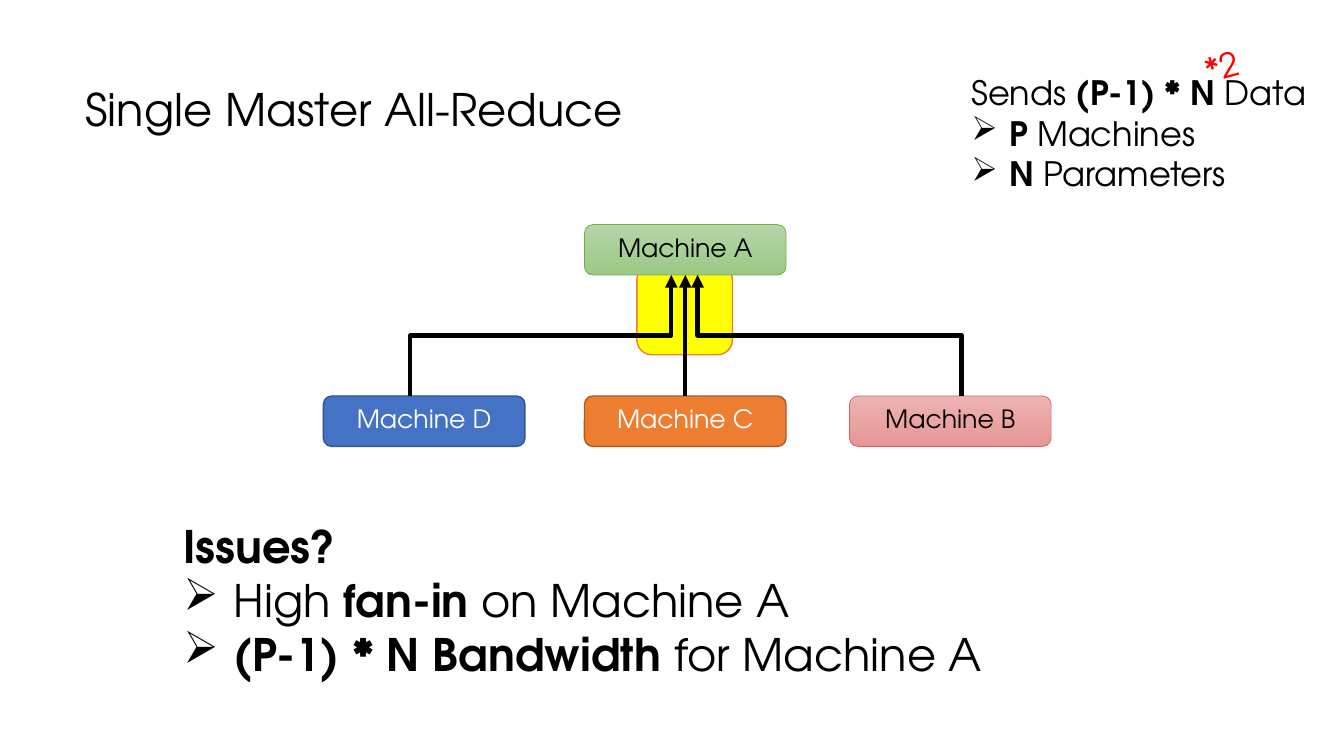
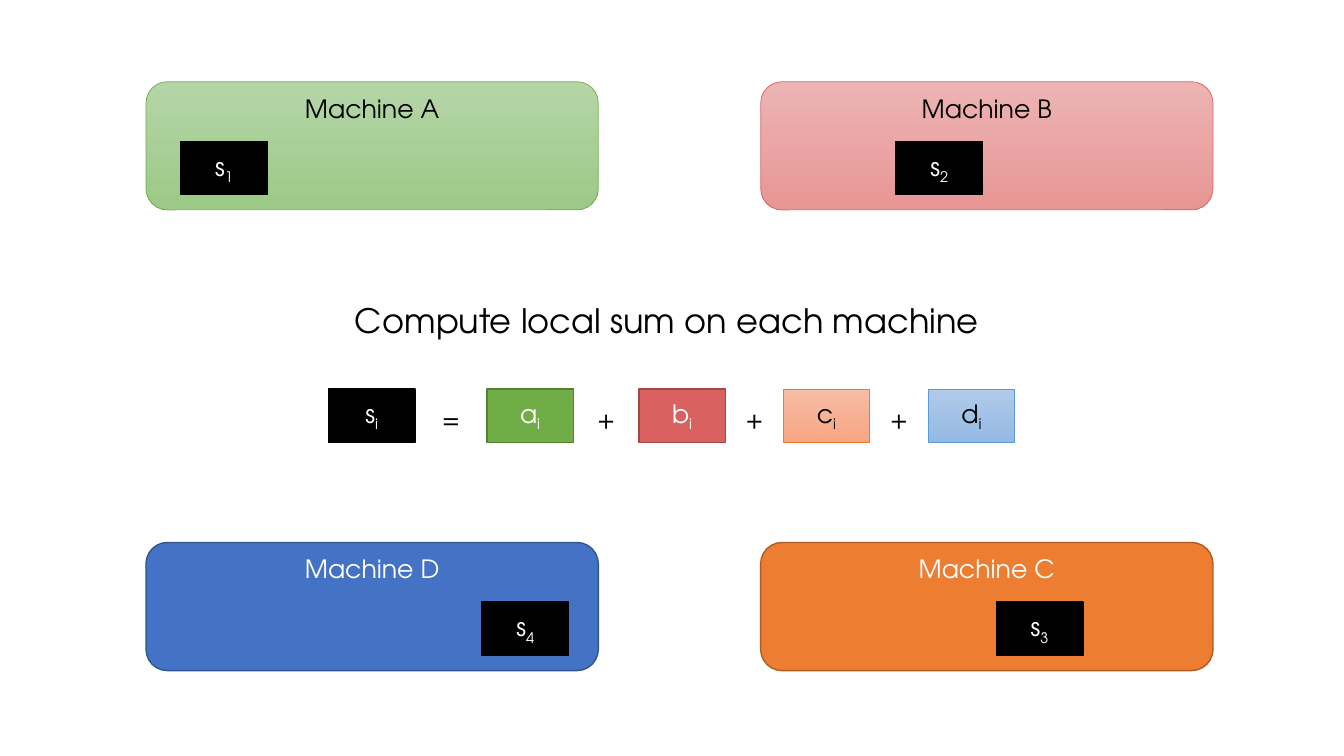
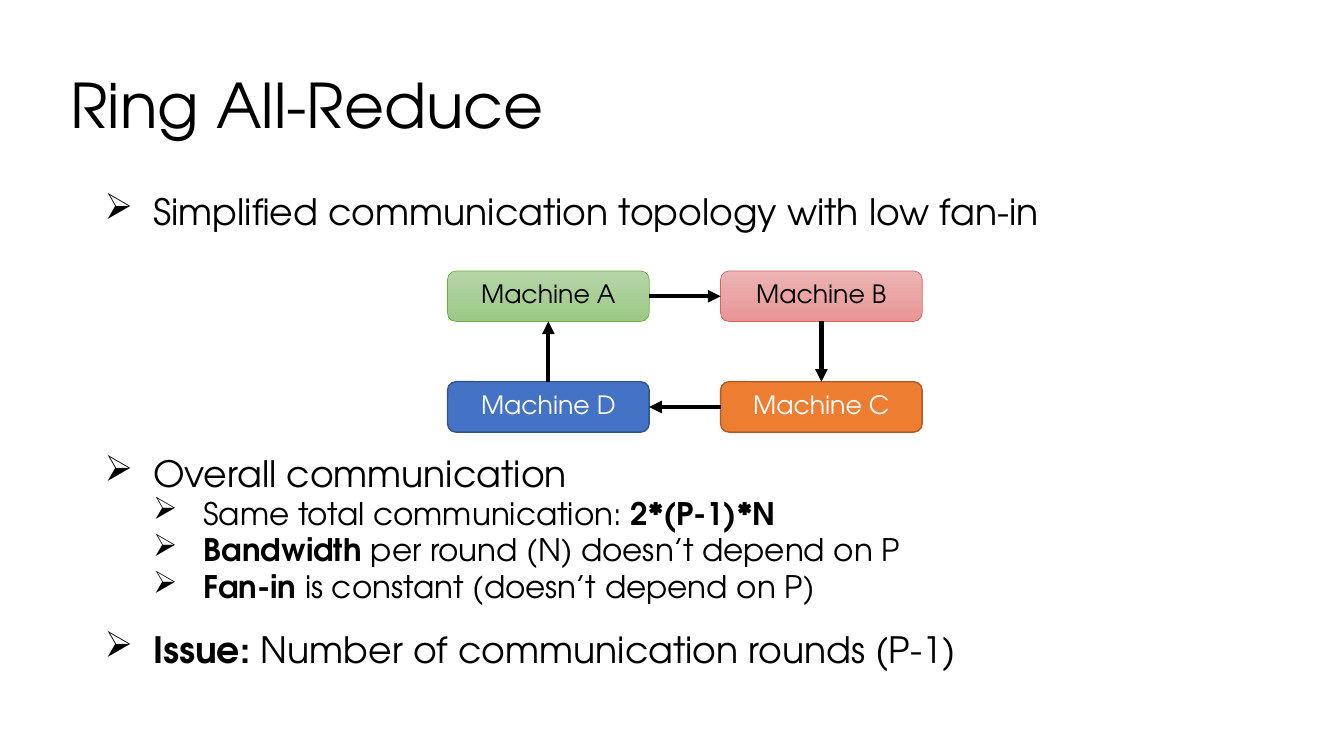
from dataclasses import dataclass

from pptx import Presentation
from pptx.dml.color import RGBColor
from pptx.enum.shapes import MSO_CONNECTOR, MSO_SHAPE
from pptx.enum.text import MSO_ANCHOR, MSO_AUTO_SIZE, PP_ALIGN
from pptx.oxml.ns import qn
from pptx.util import Cm, Pt
from lxml.etree import SubElement

FONT = "TeX Gyre Adventor"
BLACK = RGBColor(0x00, 0x00, 0x00)
WHITE = RGBColor(0xFF, 0xFF, 0xFF)
RED = RGBColor(0xFF, 0x00, 0x00)
YELLOW = RGBColor(0xFF, 0xFF, 0x00)
GREEN = RGBColor(0x70, 0xAD, 0x47)
GREEN_DARK = RGBColor(0x53, 0x80, 0x35)
GREEN_TOP = RGBColor(0xB5, 0xD5, 0xA7)
GREEN_BOTTOM = RGBColor(0x9C, 0xC9, 0x87)
ROSE = RGBColor(0xD9, 0x61, 0x5F)
ROSE_DARK = RGBColor(0xA1, 0x48, 0x46)
ROSE_TOP = RGBColor(0xEC, 0xB4, 0xB3)
ROSE_BOTTOM = RGBColor(0xE7, 0x96, 0x95)
ORANGE = RGBColor(0xED, 0x7D, 0x31)
ORANGE_DARK = RGBColor(0xAF, 0x5C, 0x24)
ORANGE_TOP = RGBColor(0xF7, 0xBD, 0xA5)
ORANGE_BOTTOM = RGBColor(0xF8, 0xA5, 0x82)
BLUE = RGBColor(0x44, 0x72, 0xC4)
BLUE_DARK = RGBColor(0x32, 0x54, 0x91)
SKY = RGBColor(0x5B, 0x9B, 0xD5)
SKY_TOP = RGBColor(0xB1, 0xCB, 0xE9)
SKY_BOTTOM = RGBColor(0x93, 0xB9, 0xE4)


@dataclass
class Style:
    fills: tuple
    line: RGBColor
    text: RGBColor

    @property
    def line_width(self):
        return Pt(1) if len(self.fills) == 1 else Pt(0.5)


MACHINES = {
    "A": Style((GREEN_TOP, GREEN_BOTTOM), GREEN, BLACK),
    "B": Style((ROSE_TOP, ROSE_BOTTOM), ROSE, BLACK),
    "C": Style((ORANGE,), ORANGE_DARK, WHITE),
    "D": Style((BLUE,), BLUE_DARK, WHITE),
}
TERMS = {
    "a": Style((GREEN,), GREEN_DARK, WHITE),
    "b": Style((ROSE,), ROSE_DARK, WHITE),
    "c": Style((ORANGE_TOP, ORANGE_BOTTOM), ORANGE, BLACK),
    "d": Style((SKY_TOP, SKY_BOTTOM), SKY, BLACK),
}
SUM = Style((BLACK,), BLACK, WHITE)
HIGHLIGHT = Style((YELLOW,), ORANGE, BLACK)

CLOCKWISE = {"A": (0, 0), "B": (1, 0), "C": (1, 1), "D": (0, 1)}
MACHINE_WIDTH, MACHINE_HEIGHT = Cm(5.08), Cm(1.27)
TILE_WIDTH, TILE_HEIGHT = Cm(2.18), Cm(1.35)


@dataclass
class Line:
    text: str
    size: float
    margin: float = 0
    hanging: float = 0
    before: float = 0
    spacing: float = 1


def set_font(paragraph, size, color=BLACK):
    paragraph.font.name = FONT
    paragraph.font.size = Pt(size)
    paragraph.font.color.rgb = color


def set_bullet(paragraph, margin, hanging):
    properties = paragraph._p.get_or_add_pPr()
    properties.set("marL", str(Cm(margin)))
    properties.set("indent", str(-Cm(hanging)))
    SubElement(properties, qn("a:buChar")).set("char", "➢")


def add_text(slide, left, top, width, height, lines, color=BLACK, alignment=PP_ALIGN.LEFT):
    box = slide.shapes.add_textbox(left, top, width, height)
    frame = box.text_frame
    frame.word_wrap = True
    for index, line in enumerate(lines):
        paragraph = frame.paragraphs[0] if index == 0 else frame.add_paragraph()
        paragraph.alignment = alignment
        paragraph.line_spacing = line.spacing
        if line.before:
            paragraph.space_before = Pt(line.before)
        if line.hanging:
            set_bullet(paragraph, line.margin, line.hanging)
        set_font(paragraph, line.size, color)
        for position, part in enumerate(line.text.split("|")):
            if part:
                run = paragraph.add_run()
                run.text = part
                run.font.bold = position % 2 == 1
    return box


def set_title(slide, text, size, left, top, width, height):
    title = slide.shapes.title
    title.left, title.top, title.width, title.height = left, top, width, height
    frame = title.text_frame
    frame.text = text
    frame.auto_size = MSO_AUTO_SIZE.NONE
    frame.vertical_anchor = MSO_ANCHOR.MIDDLE
    paragraph = frame.paragraphs[0]
    paragraph.alignment = PP_ALIGN.LEFT
    paragraph.line_spacing = 0.9
    set_font(paragraph, size)


def add_block(slide, preset, style, left, top, width, height):
    shape = slide.shapes.add_shape(preset, left, top, width, height)
    shape.shadow.inherit = False
    if len(style.fills) == 1:
        shape.fill.solid()
        shape.fill.fore_color.rgb = style.fills[0]
    else:
        shape.fill.gradient()
        shape.fill.gradient_angle = 270
        for stop, color in zip(shape.fill.gradient_stops, style.fills):
            stop.color.rgb = color
    shape.line.color.rgb = style.line
    shape.line.width = style.line_width
    return shape


def add_machine(slide, name, left, top, width=MACHINE_WIDTH, height=MACHINE_HEIGHT):
    style = MACHINES[name]
    shape = add_block(slide, MSO_SHAPE.ROUNDED_RECTANGLE, style, left, top, width, height)
    shape.text_frame.vertical_anchor = MSO_ANCHOR.TOP
    paragraph = shape.text_frame.paragraphs[0]
    paragraph.text = f"Machine {name}"
    paragraph.alignment = PP_ALIGN.CENTER
    set_font(paragraph, 18, style.text)


def add_tile(slide, letter, subscript, style, left, top):
    shape = add_block(slide, MSO_SHAPE.RECTANGLE, style, left, top, TILE_WIDTH, TILE_HEIGHT)
    shape.text_frame.vertical_anchor = MSO_ANCHOR.MIDDLE
    paragraph = shape.text_frame.paragraphs[0]
    paragraph.alignment = PP_ALIGN.CENTER
    set_font(paragraph, 18, style.text)
    paragraph.add_run().text = letter
    index = paragraph.add_run()
    index.text = subscript
    index.font._element.set("baseline", "-25000")


def add_arrow(slide, start_x, start_y, end_x, end_y, kind=MSO_CONNECTOR.STRAIGHT):
    arrow = slide.shapes.add_connector(kind, start_x, start_y, end_x, end_y)
    arrow.line.color.rgb = BLACK
    arrow.line.width = Pt(3)
    SubElement(arrow.line._get_or_add_ln(), qn("a:tailEnd")).set("type", "triangle")
    SubElement(arrow._element.spPr, qn("a:effectLst"))
    return arrow


def add_rising_elbow(slide, start_x, start_y, end_x, end_y):
    center_x, center_y = (start_x + end_x) // 2, (start_y + end_y) // 2
    half_rise, half_run = (start_y - end_y) // 2, (end_x - start_x) // 2
    arrow = add_arrow(
        slide, center_x - half_rise, center_y - half_run,
        center_x + half_rise, center_y + half_run, MSO_CONNECTOR.ELBOW)
    arrow._element.spPr.find(qn("a:xfrm")).set("rot", str(270 * 60000))


def add_fan_in(slide, left, top):
    master_left, row_top = left + Cm(6.58), top + Cm(4.32)
    middle = master_left + MACHINE_WIDTH // 2
    master_bottom = top + MACHINE_HEIGHT
    add_block(slide, MSO_SHAPE.ROUNDED_RECTANGLE, HIGHLIGHT,
              left + Cm(7.9), top + Cm(1.02), Cm(2.41), Cm(2.26))
    add_machine(slide, "A", master_left, top)
    add_machine(slide, "D", left, row_top)
    add_machine(slide, "C", master_left, row_top)
    add_machine(slide, "B", left + Cm(13.26), row_top)
    add_rising_elbow(slide, left + Cm(2.19), row_top, middle - Cm(0.35), master_bottom)
    add_rising_elbow(slide, left + Cm(16.08), row_top, middle + Cm(0.31), master_bottom)
    add_arrow(slide, middle, row_top, middle, master_bottom)


def add_ring(slide, left, top):
    column_pitch, row_pitch = Cm(6.88), Cm(2.79)
    for name, (column, row) in CLOCKWISE.items():
        add_machine(slide, name, left + column * column_pitch, top + row * row_pitch)
    inner_left, inner_right = left + MACHINE_WIDTH, left + column_pitch
    inner_top, inner_bottom = top + MACHINE_HEIGHT, top + row_pitch
    first_middle, second_middle = top + MACHINE_HEIGHT // 2, inner_bottom + MACHINE_HEIGHT // 2
    left_middle, right_middle = left + MACHINE_WIDTH // 2, inner_right + MACHINE_WIDTH // 2
    add_arrow(slide, inner_left, first_middle, inner_right, first_middle)
    add_arrow(slide, right_middle, inner_top, right_middle, inner_bottom)
    add_arrow(slide, inner_right, second_middle, inner_left, second_middle)
    add_arrow(slide, left_middle, inner_bottom, left_middle, inner_top)


def add_local_sums(slide, left, top):
    for index, (name, (column, row)) in enumerate(CLOCKWISE.items()):
        machine_left = left + column * Cm(15.49)
        machine_top = top + row * Cm(11.61)
        add_machine(slide, name, machine_left, machine_top, Cm(11.4), Cm(3.23))
        add_tile(slide, "s", str(index + 1), SUM,
                 machine_left + Cm(0.88) + index * Cm(2.53), machine_top + Cm(1.5))


def add_equation(slide, left, top):
    offsets = (0, 3.99, 7.82, 11.46, 15.11)
    tiles = [("s", SUM), *TERMS.items()]
    for (letter, style), offset in zip(tiles, offsets):
        add_tile(slide, letter, "i", style, left + Cm(offset), top)
    for operator, before, after in zip("=+++", offsets, offsets[1:]):
        gap_left = left + Cm(before) + TILE_WIDTH
        add_text(slide, gap_left, top + Cm(0.25), left + Cm(after) - gap_left, Cm(1.02),
                 [Line(operator, 18)], alignment=PP_ALIGN.CENTER)


def build_single_master(presentation):
    slide = presentation.slides.add_slide(presentation.slide_layouts[5])
    set_title(slide, "Single Master All-Reduce", 32, Cm(1.9), Cm(2), Cm(15), Cm(1.63))
    add_fan_in(slide, Cm(8.15), Cm(5.66))
    add_text(slide, Cm(24.23), Cm(1.7), Cm(9.4), Cm(3.33), [
        Line("Sends| (P-1) * N| Data", 24),
        Line("|P| Machines", 24, 0.95, 0.95),
        Line("|N| Parameters", 24, 0.95, 0.95),
    ])
    factor = add_text(slide, Cm(29.54), Cm(1.04), Cm(2.5), Cm(1.28),
                      [Line("*2", 24)], RED, PP_ALIGN.CENTER)
    factor.rotation = 344.7
    add_text(slide, Cm(4.37), Cm(12.95), Cm(22), Cm(5.74), [
        Line("|Issues?", 32),
        Line("High |fan-in |on Machine A", 32, 1.27, 1.27),
        Line("|(P-1) * N Bandwidth| for Machine A", 32, 1.27, 1.27),
    ])


def build_local_sum(presentation):
    slide = presentation.slides.add_slide(presentation.slide_layouts[6])
    add_local_sums(slide, Cm(3.68), Cm(2.06))
    add_text(slide, Cm(8.69), Cm(7.44), Cm(17), Cm(1.28),
             [Line("Compute local sum on each machine", 24)])
    add_equation(slide, Cm(8.28), Cm(9.8))


def build_ring(presentation):
    slide = presentation.slides.add_slide(presentation.slide_layouts[5])
    set_title(slide, "Ring All-Reduce", 44, Cm(1.52), Cm(0.89), Cm(30), Cm(3.68))

    def point(text, before=0):
        return Line(text, 25.9, 1.27, 1.22, before, 0.8)

    def detail(text):
        return Line(text, 22.2, 2.54, 1.27, 5, 0.8)

    add_text(slide, Cm(2.34), Cm(4.85), Cm(29.2), Cm(1.3),
             [point("Simplified communication topology with low fan-in")])
    add_ring(slide, Cm(11.28), Cm(6.83))
    add_text(slide, Cm(2.34), Cm(11.45), Cm(29.2), Cm(6.4), [
        point("Overall communication"),
        detail("Same total communication: |2*(P-1)*N"),
        detail("|Bandwidth| per round (N) doesn’t depend on P"),
        detail("|Fan-in| is constant (doesn’t depend on P)"),
        point("|Issue: |Number of communication rounds (P-1)", 22),
    ])


def main():
    presentation = Presentation()
    presentation.slide_width, presentation.slide_height = Cm(33.87), Cm(19.05)
    build_single_master(presentation)
    build_local_sum(presentation)
    build_ring(presentation)
    presentation.save("out.pptx")


if __name__ == "__main__":
    main()
